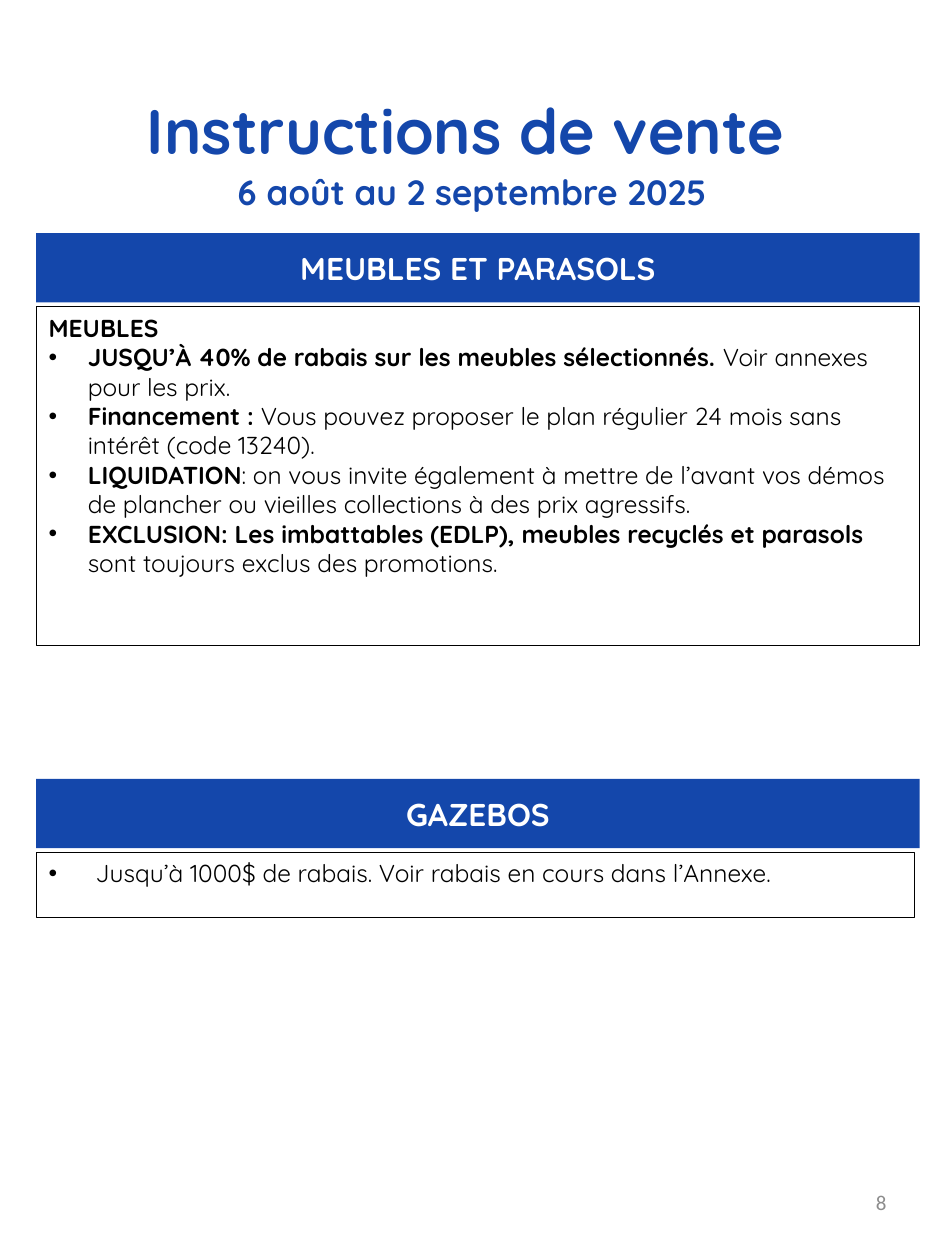
from lxml.etree import SubElement
from pptx import Presentation
from pptx.dml.color import RGBColor
from pptx.enum.shapes import MSO_SHAPE as Shape
from pptx.enum.text import MSO_ANCHOR as Anchor, PP_ALIGN as Align
from pptx.oxml.ns import qn
from pptx.util import Cm, Pt

COLORS = {"blue": "1447AB", "black": "000000", "white": "FFFFFF", "gray": "8C8C8C"}
FONT = "Quicksand"

# Content: headings as (text, size, box in cm)
HEADINGS = [
    ("Instructions de vente", 36, (0.81, 1.5, 17.15, 2.01)),
    ("6 août au 2 septembre 2025", 20, (3.43, 3.18, 12.19, 1.22)),
]
PAGE_NUMBER = "8"

# Each line is (bold part, regular part, has bullet)
SECTIONS = [
    {
        "title": "MEUBLES ET PARASOLS", "top": 4.7, "width": 17.81,
        "height": 6.83, "indent": 0.79,
        "lines": [
            ("MEUBLES", "", False),
            ("JUSQU’À 40% de rabais sur les meubles sélectionnés. ",
             "Voir annexes pour les prix.", True),
            ("Financement : ",
             "Vous pouvez proposer le plan régulier 24 mois sans intérêt (code 13240).", True),
            ("LIQUIDATION",
             ": on vous invite également à mettre de l’avant vos démos de plancher "
             "ou vieilles collections à des prix agressifs.", True),
            ("EXCLUSION: Les imbattables (EDLP), meubles recyclés et parasols ",
             "sont toujours exclus des promotions.", True),
        ],
    },
    {
        "title": "GAZEBOS", "top": 15.7, "width": 17.7,
        "height": 1.32, "indent": 0.95,
        "lines": [("", "Jusqu’à 1000$ de rabais. Voir rabais en cours dans l’Annexe.", True)],
    },
]
LEFT, BANNER_WIDTH, BANNER_HEIGHT, BODY_OFFSET = 0.73, 17.81, 1.4, 1.48


def style(font, size, color, bold=False, name=FONT):
    font.name, font.size, font.bold = name, Pt(size), bold
    font.color.rgb = RGBColor.from_string(COLORS[color])


def add_text(slide, text, box, align):
    shape = slide.shapes.add_textbox(*map(Cm, box))
    shape.text_frame.word_wrap = True
    shape.text_frame.text = text
    paragraph = shape.text_frame.paragraphs[0]
    paragraph.alignment = align
    return shape, paragraph


def add_rectangle(slide, box, anchor, fill=None):
    shape = slide.shapes.add_shape(Shape.RECTANGLE, *map(Cm, box))
    shape.shadow.inherit = False
    if fill:
        shape.fill.solid()
        shape.fill.fore_color.rgb = RGBColor.from_string(COLORS[fill])
        shape.line.fill.background()
    else:
        shape.fill.background()
        shape.line.color.rgb = RGBColor.from_string(COLORS["black"])
        shape.line.width = Pt(0.75)
    shape.text_frame.word_wrap = True
    shape.text_frame.vertical_anchor = anchor
    return shape


def add_bullet(paragraph, indent):
    properties = paragraph._p.get_or_add_pPr()
    properties.set("marL", str(Cm(indent)))
    properties.set("indent", str(-Cm(indent)))
    SubElement(properties, qn("a:buFont"), typeface="Arial")
    SubElement(properties, qn("a:buChar"), char="•")


def add_section(slide, section):
    # Banner
    banner = add_rectangle(slide, (LEFT, section["top"], BANNER_WIDTH, BANNER_HEIGHT),
                           Anchor.MIDDLE, "blue")
    banner.text_frame.text = section["title"]
    paragraph = banner.text_frame.paragraphs[0]
    paragraph.alignment = Align.CENTER
    style(paragraph.runs[0].font, 18, "white", True)

    # Framed instructions
    body = add_rectangle(slide, (LEFT, section["top"] + BODY_OFFSET,
                                 section["width"], section["height"]), Anchor.TOP)
    frame = body.text_frame
    for index, (strong, regular, bulleted) in enumerate(section["lines"]):
        paragraph = frame.add_paragraph() if index else frame.paragraphs[0]
        paragraph.alignment = Align.LEFT
        if bulleted:
            add_bullet(paragraph, section["indent"])
        for text, bold in ((strong, True), (regular, False)):
            if text:
                run = paragraph.add_run()
                run.text = text
                style(run.font, 14, "black", bold)


def main():
    presentation = Presentation()
    presentation.slide_width, presentation.slide_height = Cm(19.05), Cm(25.4)
    slide = presentation.slides.add_slide(presentation.slide_layouts[6])

    # Title and dates
    for text, size, box in HEADINGS:
        _, paragraph = add_text(slide, text, box, Align.CENTER)
        paragraph.line_spacing = 1.15
        paragraph.space_after = Pt(10)
        style(paragraph.runs[0].font, size, "blue", True)

    for section in SECTIONS:
        add_section(slide, section)

    # Page number
    shape, paragraph = add_text(slide, PAGE_NUMBER, (13.67, 23.55, 4.45, 1.35), Align.RIGHT)
    shape.text_frame.vertical_anchor = Anchor.MIDDLE
    style(paragraph.runs[0].font, 12, "gray", name="Calibri")

    presentation.save("out.pptx")


if __name__ == "__main__":
    main()
